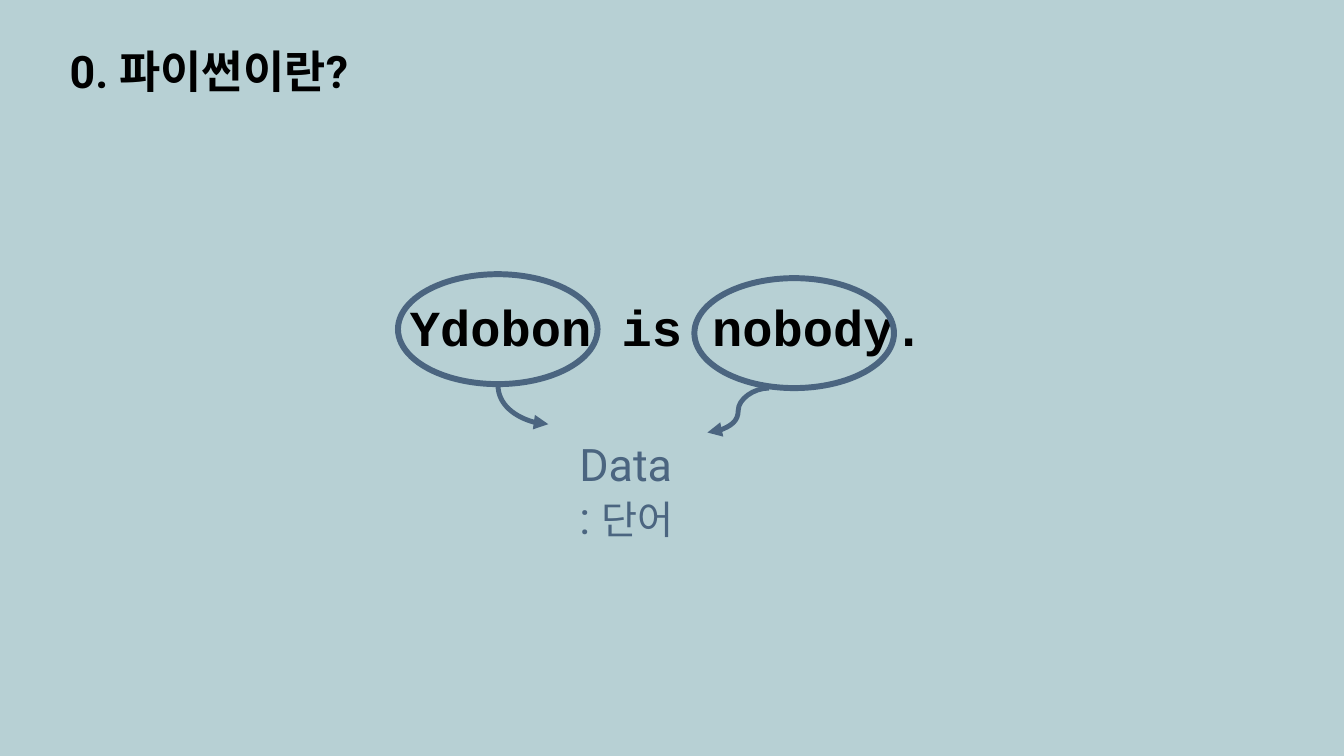
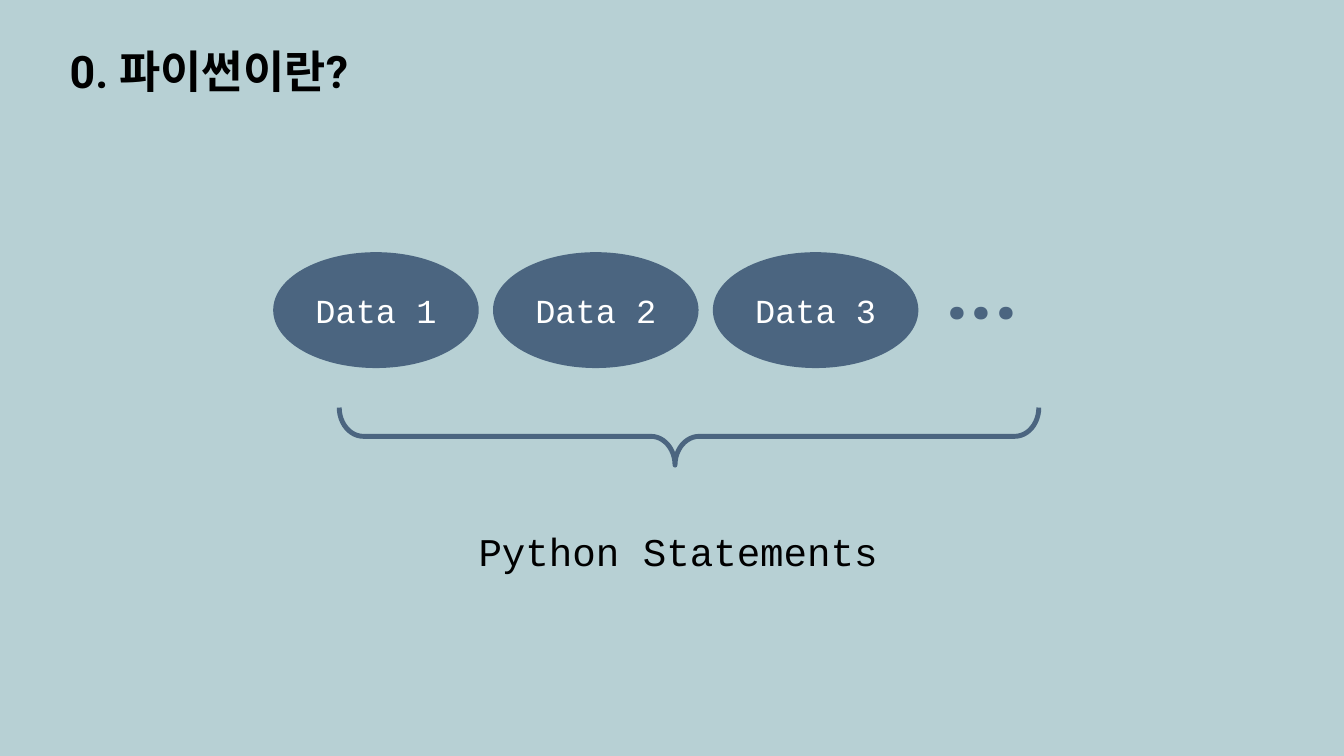
from dataclasses import dataclass

from lxml.etree import SubElement
from pptx import Presentation
from pptx.dml.color import RGBColor
from pptx.enum.shapes import MSO_CONNECTOR, MSO_SHAPE
from pptx.enum.text import MSO_ANCHOR, MSO_AUTO_SIZE, PP_ALIGN
from pptx.oxml.ns import qn
from pptx.util import Cm, Pt


@dataclass(frozen=True)
class Theme:
    """Colours, fonts, type sizes and line widths of the deck."""
    back: RGBColor = RGBColor(0xB7, 0xD0, 0xD4)
    accent: RGBColor = RGBColor(0x4B, 0x65, 0x80)
    ink: RGBColor = RGBColor(0, 0, 0)
    white: RGBColor = RGBColor(0xFF, 0xFF, 0xFF)
    sans: str = "Roboto"
    mono: str = "Courier New"
    dots: float = 60
    code: float = 36
    title: float = 32
    note: float = 28
    label: float = 24
    outline: float = 4.25
    stroke: float = 3.5


class Deck:
    """Holds the style and the current slide."""

    def __init__(self, theme):
        """Start a widescreen deck with the theme's background."""
        self.theme = theme
        self.prs = Presentation()
        self.prs.slide_width, self.prs.slide_height = Cm(33.87), Cm(19.05)
        fill = self.prs.slide_master.background.fill
        fill.solid()
        fill.fore_color.rgb = theme.back
        self.s = None

    def slide(self, title):
        """Add a slide with its title at the top left."""
        self.s = self.prs.slides.add_slide(self.prs.slide_layouts[5])
        sp = self.s.shapes.title
        sp.left, sp.top, sp.width, sp.height = Cm(1.5), Cm(0.97), Cm(24.05), Cm(1.63)
        tf = sp.text_frame
        tf.text = title
        tf.auto_size = MSO_AUTO_SIZE.NONE
        tf.vertical_anchor = MSO_ANCHOR.MIDDLE
        self.style(tf.paragraphs[0], self.theme.title, bold=True)

    def style(self, p, size, font=None, color=None, bold=False, align=PP_ALIGN.LEFT):
        """Format one paragraph."""
        p.alignment = align
        p.font.name = font or self.theme.sans
        p.font.size = Pt(size)
        p.font.bold = bold
        p.font.color.rgb = color or self.theme.ink

    def text(self, x, y, w, h, lines, size, anchor=MSO_ANCHOR.TOP, **look):
        """Add a text box with one paragraph a line and return its paragraphs."""
        tf = self.s.shapes.add_textbox(Cm(x), Cm(y), Cm(w), Cm(h)).text_frame
        tf.word_wrap = True
        tf.vertical_anchor = anchor
        tf.text = "\n".join(lines)
        for p in tf.paragraphs:
            self.style(p, size, **look)
        return tf.paragraphs

    def shape(self, kind, x, y, w, h, width):
        """Add an unfilled shape with an accent outline."""
        sp = self.s.shapes.add_shape(kind, Cm(x), Cm(y), Cm(w), Cm(h))
        sp.shadow.inherit = False
        sp.fill.background()
        sp.line.color.rgb = self.theme.accent
        sp.line.width = Pt(width)
        return sp

    def ellipse(self, x, y, label=None):
        """Add a data ellipse: a ring, or filled when it has a label."""
        sp = self.shape(MSO_SHAPE.OVAL, x, y, 5.03, 2.77, self.theme.outline)
        if label:
            sp.fill.solid()
            sp.fill.fore_color.rgb = self.theme.accent
            tf = sp.text_frame
            tf.text = label
            tf.vertical_anchor = MSO_ANCHOR.MIDDLE
            self.style(tf.paragraphs[0], self.theme.label, self.theme.mono,
                       self.theme.white, align=PP_ALIGN.CENTER)

    def brace(self, x, y, w, h):
        """Add a brace that points down; the frame is given before its turn."""
        sp = self.shape(MSO_SHAPE.LEFT_BRACE, x, y, w, h, self.theme.stroke)
        sp.rotation = 270
        sp.adjustments[0], sp.adjustments[1] = 0.42, 0.48

    def arrow(self, x1, y1, x2, y2, quarter=False):
        """Add a curved arrow, an S-curve or a quarter turn that sets off downwards."""
        if quarter:
            # A quarter turn is laid out sideways about its centre, then rotated.
            cx, cy, dx, dy = (x1 + x2) / 2, (y1 + y2) / 2, (x2 - x1) / 2, (y2 - y1) / 2
            x1, y1, x2, y2 = cx + dy, cy - dx, cx - dy, cy + dx
        line = self.s.shapes.add_connector(
            MSO_CONNECTOR.CURVE, Cm(x1), Cm(y1), Cm(x2), Cm(y2))
        line.line.color.rgb = self.theme.accent
        line.line.width = Pt(self.theme.stroke)
        pr = line._element.spPr
        SubElement(pr.find(qn("a:ln")), qn("a:tailEnd"), type="triangle")
        SubElement(pr, qn("a:effectLst"))
        if quarter:
            pr.find(qn("a:xfrm")).set("rot", str(270 * 60000))
            pr.find(qn("a:prstGeom")).set("prst", "curvedConnector2")


def words_slide(deck):
    """Show which words of a sentence are data."""
    t = deck.theme
    deck.slide(TITLE)
    deck.text(10.08, 7.34, 17.73, 1.8, ["Ydobon is nobody."], t.code,
              font=t.mono, bold=True)
    word = deck.text(14.35, 10.87, 6.5, 3, ["Data", ": "], t.title, color=t.accent)[1]
    r = word.add_run()
    r.text = "단어"
    r.font.size = Pt(t.note)
    deck.ellipse(10.03, 6.91)
    deck.arrow(12.55, 9.7, 13.82, 10.69, quarter=True)
    deck.ellipse(17.5, 7.01)
    deck.arrow(19.38, 9.78, 17.83, 10.9)


def statements_slide(deck):
    """Show a row of data gathered into statements."""
    t = deck.theme
    deck.slide(TITLE)
    for i in range(3):
        deck.ellipse(6.96 + 5.54 * i, 6.43, f"Data {i + 1}")
    deck.text(23.57, 5.79, 3.99, 2.82, ["..."], t.dots, MSO_ANCHOR.MIDDLE,
              color=t.accent, bold=True)
    deck.brace(16.64, 2.18, 1.45, 17.63)
    deck.text(11.81, 13.16, 11.07, 1.45, ["Python Statements"], t.note, font=t.mono)


TITLE = "0. 파이썬이란?"
deck = Deck(Theme())
words_slide(deck)
statements_slide(deck)
deck.prs.save("out.pptx")
